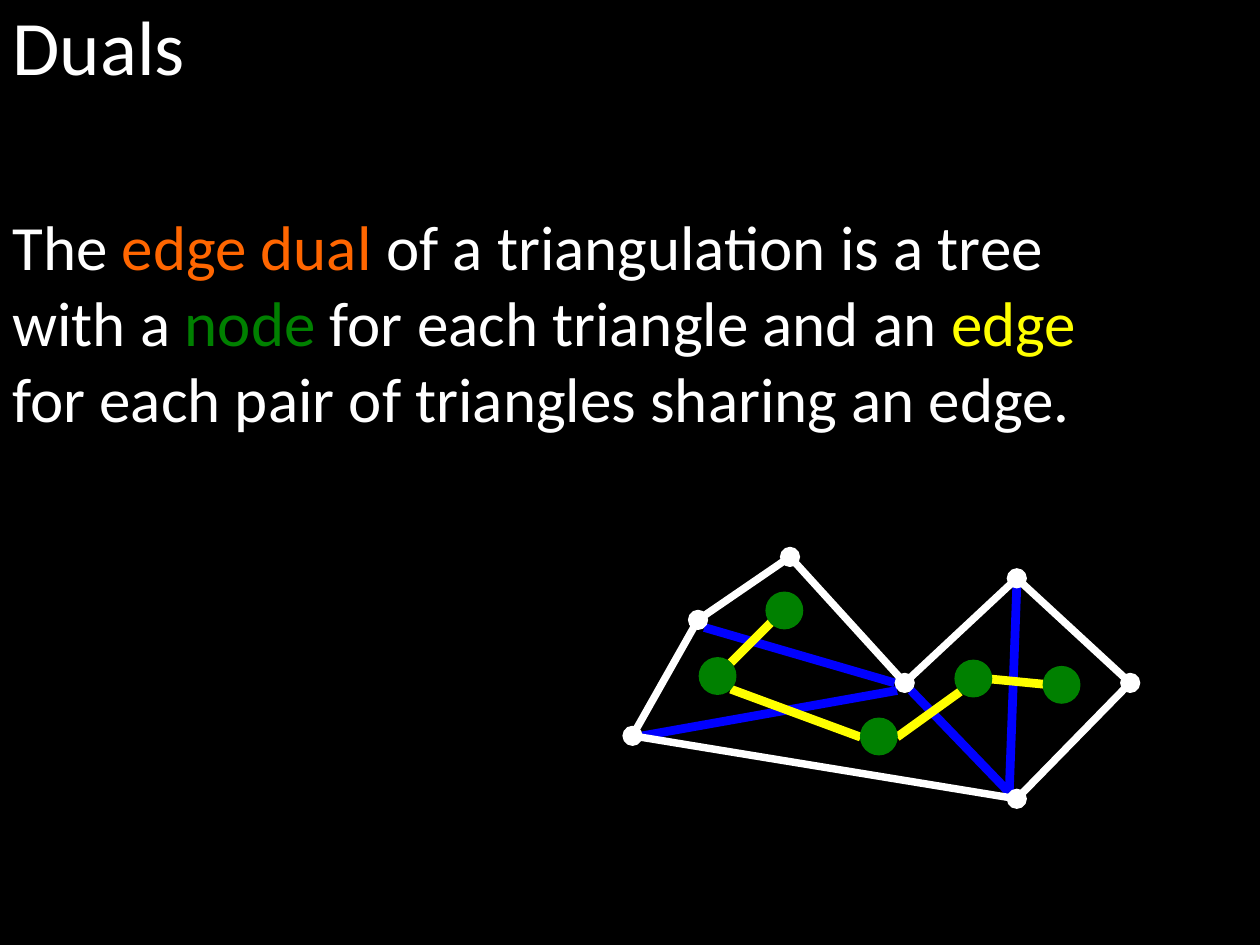
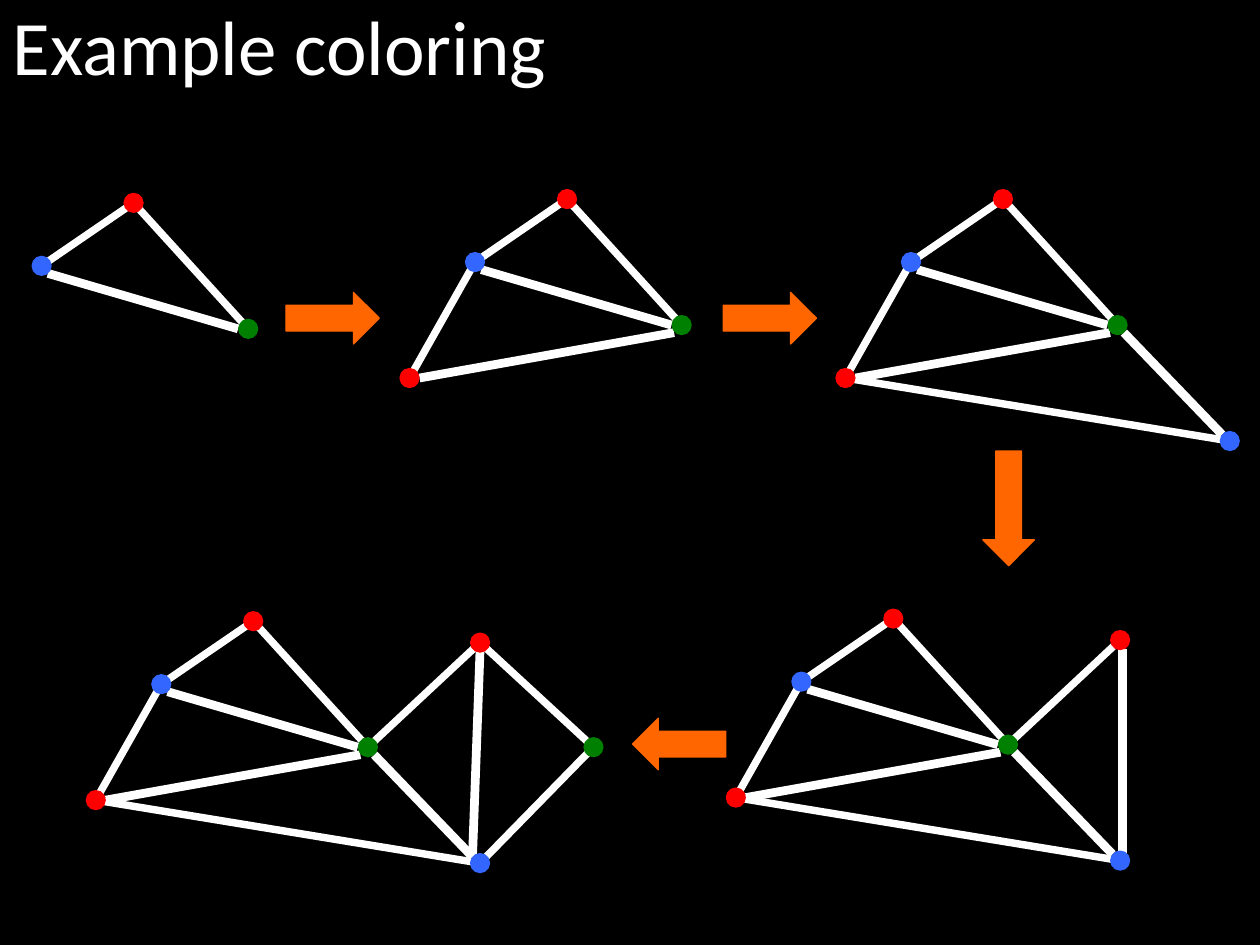
from dataclasses import dataclass

from lxml import etree
from pptx import Presentation, util as u
from pptx.dml.color import RGBColor
from pptx.enum import shapes, text
from pptx.oxml import ns

# Grid: 100 columns by 75 rows of square cells on a 10 x 7.5 inch slide
COLUMNS, ROWS = 100, 75
CELL = u.Inches(10) // COLUMNS


@dataclass(frozen=True)
class Theme:
    font: str = "Calibri"
    title_size: float = 44
    body_size: float = 36
    outline_width: float = 4.25
    diagonal_width: float = 5
    border_width: float = 0.75
    black: str = "000000"
    white: str = "FFFFFF"
    orange: str = "FF6600"
    green: str = "008000"
    yellow: str = "FFFF00"
    navy: str = "0000FF"
    red: str = "FF0000"
    blue: str = "3366FF"


THEME = Theme()

# Polygon corners in cells from its box's corner, in the order the coloring adds them
CORNERS = {
    "shoulder": (5.2, 5), "peak": (12.5, 0), "notch": (21.6, 10), "west": (0, 14.2),
    "south": (30.5, 19.2), "tower": (30.5, 1.7), "east": (39.5, 10),
}
CORNER_COLORS = {
    "shoulder": THEME.blue, "peak": THEME.red, "notch": THEME.green, "west": THEME.red,
    "south": THEME.blue, "tower": THEME.red, "east": THEME.green,
}
OUTLINE = [
    ("shoulder", "peak"), ("peak", "notch"), ("notch", "tower"), ("shoulder", "west"),
    ("west", "south"), ("south", "east"), ("tower", "east"),
]
# Diagonals stop a little short of the corners they join
DIAGONALS = {
    ("shoulder", "notch"): ((5.7, 5.6), (20.8, 10)),
    ("west", "notch"): ((0.8, 14.2), (21, 10.6)),
    ("south", "tower"): ((29.9, 18.7), (30.5, 2.3)),
    ("south", "notch"): ((29.9, 18.7), (22.1, 10.6)),
}
UPRIGHT_DIAGONAL = {("south", "tower"): ((30.7, 19), (30.7, 2.4))}
CORNER_SIZE, NODE_SIZE = 1.5, 2.9

# Dual tree, in cells from the same corner as the polygon
DUAL_NODES = [(12.05, 4.25), (6.75, 9.45), (19.55, 14.25), (27.05, 9.65), (34.05, 10.15)]
DUAL_EDGES = [
    ((11, 5.2), (7.8, 8.4)), ((18.1, 14.3), (7.8, 10.5)),
    ((26, 10.7), (21, 14.3)), ((28.5, 9.7), (32.6, 10.1)),
]


def cells(*counts):
    return [round(count * CELL) for count in counts]


def paint(shape, color):
    shape.shadow.inherit = False
    shape.fill.solid()
    shape.fill.fore_color.rgb = shape.line.color.rgb = RGBColor.from_string(color)
    shape.line.width = u.Pt(THEME.border_width)


def add_line(slide, origin, start, end, color, width):
    (left, top), (x1, y1), (x2, y2) = origin, start, end
    line = slide.shapes.add_connector(
        shapes.MSO_CONNECTOR.STRAIGHT,
        *cells(left + x1, top + y1, left + x2, top + y2))
    line.line.color.rgb = RGBColor.from_string(color)
    line.line.width = u.Pt(width)
    etree.SubElement(line._element.spPr, ns.qn("a:effectLst"))


def add_dot(slide, origin, center, size, color):
    left, top = (o + c - size / 2 for o, c in zip(origin, center))
    dot = slide.shapes.add_shape(shapes.MSO_SHAPE.OVAL, *cells(left, top, size, size))
    paint(dot, color)


def add_arrow(slide, left, top, length, rotation=0):
    arrow = slide.shapes.add_shape(
        shapes.MSO_SHAPE.RIGHT_ARROW, *cells(left, top, length, 4.1))
    arrow.rotation = rotation
    paint(arrow, THEME.orange)


def add_run(paragraph, words, size, color):
    run = paragraph.add_run()
    run.text = words
    run.font.name = THEME.font
    run.font.size = u.Pt(size)
    run.font.color.rgb = RGBColor.from_string(color)


def set_frame(frame):
    frame.word_wrap = True
    frame.auto_size = text.MSO_AUTO_SIZE.NONE
    frame.vertical_anchor = text.MSO_ANCHOR.TOP


def add_titled_slide(prs, heading):
    slide = prs.slides.add_slide(prs.slide_layouts.get_by_name("Title Only"))
    slide.background.fill.solid()
    slide.background.fill.fore_color.rgb = RGBColor.from_string(THEME.black)
    title = slide.shapes.title
    title.left, title.top, title.width, title.height = cells(0, -0.6, 93.1, 8.4)
    set_frame(title.text_frame)
    paragraph = title.text_frame.paragraphs[0]
    paragraph.alignment = text.PP_ALIGN.LEFT
    add_run(paragraph, heading, THEME.title_size, THEME.white)
    return slide


def add_definition(slide, box):
    lines = [
        [("The ", THEME.white), ("edge dual", THEME.orange),
         (" of a triangulation is a tree", THEME.white)],
        [("with a ", THEME.white), ("node", THEME.green),
         (" for each triangle and an ", THEME.white), ("edge", THEME.yellow)],
        [("for each pair of triangles sharing an edge.", THEME.white)],
    ]
    frame = slide.shapes.add_textbox(*cells(*box)).text_frame
    set_frame(frame)
    for index, line in enumerate(lines):
        paragraph = frame.add_paragraph() if index else frame.paragraphs[0]
        for words, color in line:
            add_run(paragraph, words, THEME.body_size, color)


def add_polygon(slide, origin, corner_colors, diagonal_color, diagonals=DIAGONALS):
    """Draw the part of the triangulation spanned by the given corners."""
    for pair, (start, end) in diagonals.items():
        if corner_colors.keys() >= set(pair):
            add_line(slide, origin, start, end, diagonal_color, THEME.diagonal_width)
    for pair in OUTLINE:
        if corner_colors.keys() >= set(pair):
            start, end = (CORNERS[name] for name in pair)
            add_line(slide, origin, start, end, THEME.white, THEME.outline_width)
    for name, color in corner_colors.items():
        add_dot(slide, origin, CORNERS[name], CORNER_SIZE, color)


def add_dual_tree(slide, origin):
    for start, end in DUAL_EDGES:
        add_line(slide, origin, start, end, THEME.yellow, THEME.diagonal_width)
    for center in DUAL_NODES:
        add_dot(slide, origin, center, NODE_SIZE, THEME.green)


def build_duals(prs):
    slide = add_titled_slide(prs, "Duals")
    add_definition(slide, (0, 16, 93.1, 19.2))
    origin = (50.2, 44.2)
    add_polygon(slide, origin, dict.fromkeys(CORNERS, THEME.white), THEME.navy)
    add_dual_tree(slide, origin)


def build_coloring(prs):
    slide = add_titled_slide(prs, "Example coloring")
    # Each stage adds one corner to the triangulation
    origins = [(-1.9, 16.1), (32.5, 15.8), (67.1, 15.8), (58.4, 49.1), (7.6, 49.3)]
    for count, origin in enumerate(origins, start=3):
        colored = dict(list(CORNER_COLORS.items())[:count])
        diagonals = DIAGONALS | UPRIGHT_DIAGONAL if count == 6 else DIAGONALS
        add_polygon(slide, origin, colored, THEME.white, diagonals)
    # Arrows from stage to stage
    add_arrow(slide, 22.7, 23.2, 7.4)
    add_arrow(slide, 57.4, 23.2, 7.4)
    add_arrow(slide, 75.5, 38.3, 9.1, rotation=90)
    add_arrow(slide, 50.2, 57, 7.4, rotation=180)


def main():
    prs = Presentation()
    prs.slide_width, prs.slide_height = cells(COLUMNS, ROWS)
    build_duals(prs)
    build_coloring(prs)
    prs.save("out.pptx")


if __name__ == "__main__":
    main()
